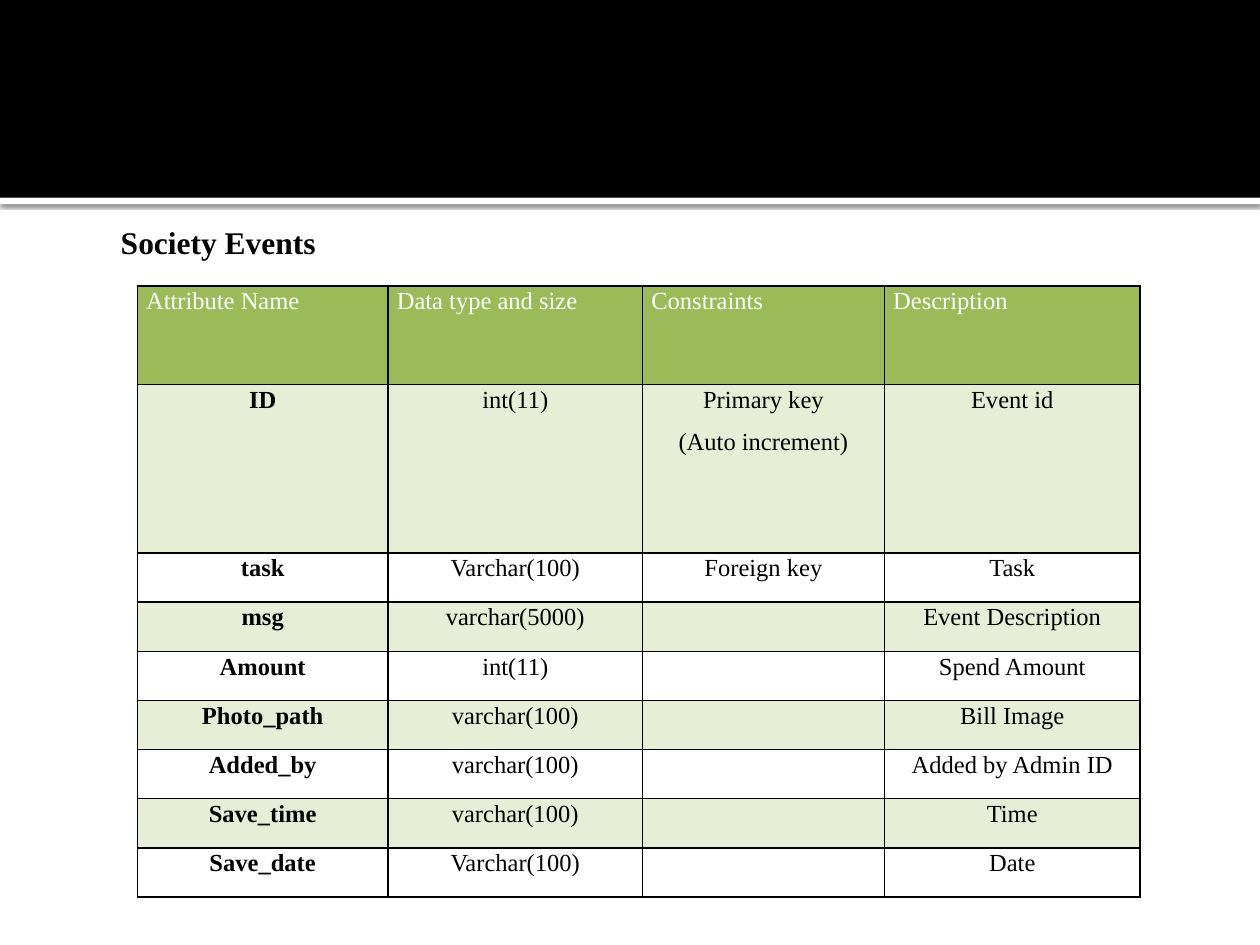
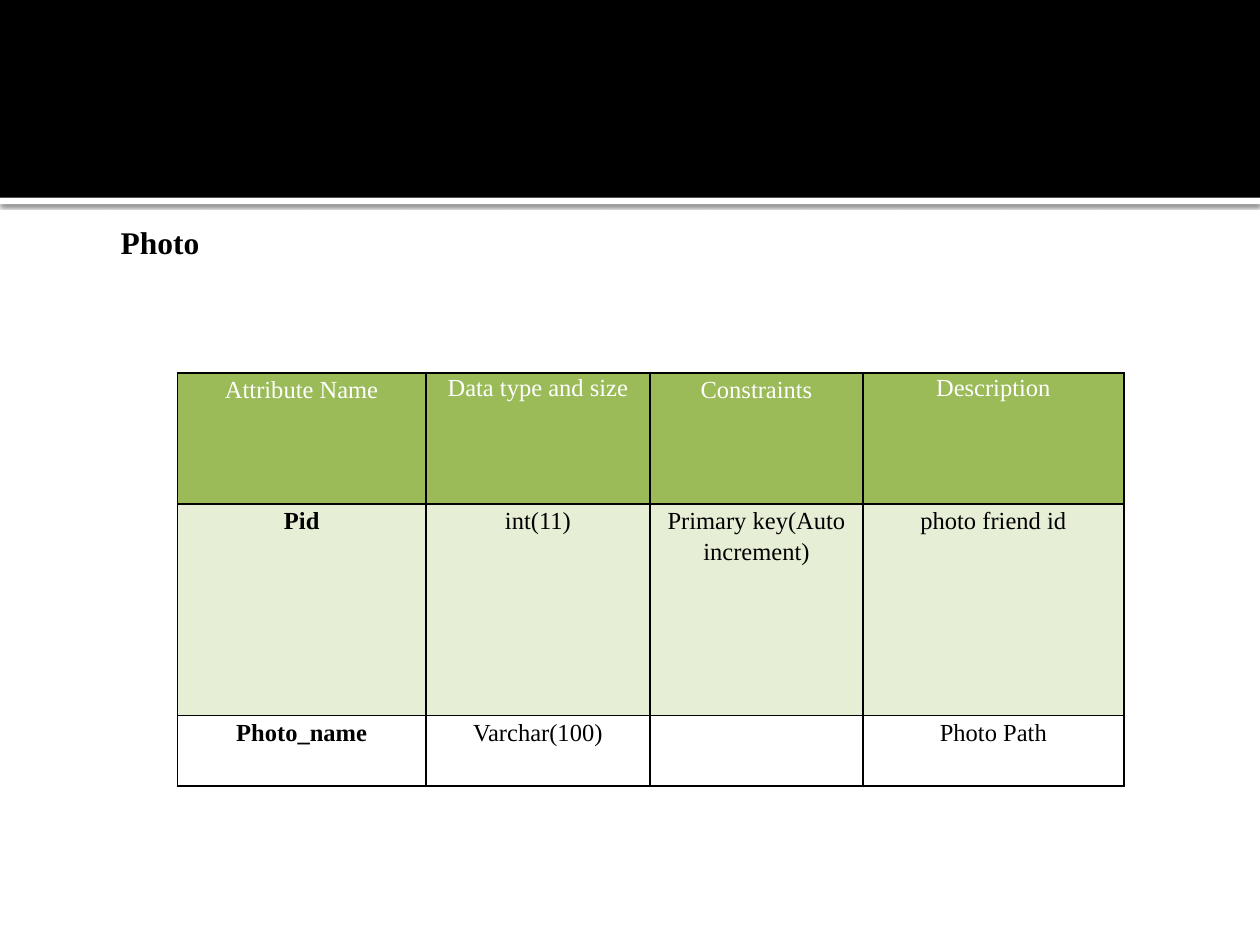
from lxml import etree
from pptx import Presentation
from pptx import util as u
from pptx.dml.color import RGBColor
from pptx.enum import shapes, text
from pptx.oxml import ns

BLACK = RGBColor(0x00, 0x00, 0x00)
WHITE = RGBColor(0xFF, 0xFF, 0xFF)
HEADER_GREEN = RGBColor(0x9B, 0xBB, 0x59)
BAND_GREEN = RGBColor(0xE6, 0xEE, 0xD5)
FONT = "Times New Roman"
LEFT, CENTER = text.PP_ALIGN.LEFT, text.PP_ALIGN.CENTER
HEADERS = ["Attribute Name", "Data type and size", "Constraints", "Description"]

# Line spacing and space after, in points
TIGHT, LOOSE = (1.07, 8), (1.15, 10)

# Top band: the white rule lies behind the black block
BANDS = [(1.57, 0.05, WHITE), (0, 1.57, BLACK)]

TABLES = [
    {
        "title": "Society Events", "title_width": 2.19, "left": 1.09, "top": 2.27,
        "columns": [1.99, 2.02, 1.92, 2.03],
        "heights": [0.78, 1.34] + [0.39] * 7,
        "header_align": LEFT, "header_spacing": [TIGHT] * 4, "spacing": TIGHT,
        "rows": [
            ["ID", "int(11)", "Primary key\n(Auto increment)", "Event id"],
            ["task", "Varchar(100)", "Foreign key", "Task"],
            ["msg", "varchar(5000)", "", "Event Description"],
            ["Amount", "int(11)", "", "Spend Amount"],
            ["Photo_path", "varchar(100)", "", "Bill Image"],
            ["Added_by", "varchar(100)", "", "Added by Admin ID"],
            ["Save_time", "varchar(100)", "", "Time"],
            ["Save_date", "Varchar(100)", "", "Date"],
        ],
    },
    {
        "title": "Photo", "title_width": 1.72, "left": 1.41, "top": 2.96,
        "columns": [1.97, 1.78, 1.69, 2.07],
        "heights": [1.04, 1.68, 0.56],
        "header_align": CENTER, "header_spacing": [LOOSE, TIGHT] * 2, "spacing": LOOSE,
        "rows": [
            ["Pid", "int(11)", "Primary key(Auto increment)", "photo friend id"],
            ["Photo_name", "Varchar(100)", "", "Photo Path"],
        ],
    },
]


def format_text(frame, size, color, bold, **paragraph_format):
    for paragraph in frame.paragraphs:
        for name, value in paragraph_format.items():
            setattr(paragraph, name, value)
        font_format = {"name": FONT, "size": u.Pt(size), "bold": bold}
        for font in [paragraph.font] + [run.font for run in paragraph.runs]:
            for name, value in font_format.items():
                setattr(font, name, value)
            font.color.rgb = color


def add_xml(parent, tag, **attributes):
    return etree.SubElement(parent, ns.qn(tag), attributes)


presentation = Presentation()
presentation.slide_width = u.Inches(10)
presentation.slide_height = u.Inches(7.5)

for content in TABLES:
    slide = presentation.slides.add_slide(presentation.slide_layouts[6])

    # Top band, with a soft shadow under the white rule
    for top, height, color in BANDS:
        band = slide.shapes.add_shape(
            shapes.MSO_SHAPE.RECTANGLE, 0, u.Inches(top), u.Inches(10), u.Inches(height))
        band.shadow.inherit = False
        band.fill.solid()
        band.fill.fore_color.rgb = color
        band.line.fill.background()
        if color == WHITE:
            effects = band._element.spPr.find(ns.qn("a:effectLst"))
            shadow = add_xml(effects, "a:outerShdw", blurRad=str(u.Pt(2.5)),
                             dist=str(u.Pt(0.8)), dir="5400000", algn="t", rotWithShape="0")
            shadow_color = add_xml(shadow, "a:srgbClr", val=str(BLACK))
            add_xml(shadow_color, "a:alpha", val="60000")

    # Table title
    title = slide.shapes.add_textbox(
        u.Inches(0.86), u.Inches(1.72), u.Inches(content["title_width"]), u.Inches(0.4))
    title.text_frame.word_wrap = True
    title.text_frame.auto_size = text.MSO_AUTO_SIZE.SHAPE_TO_FIT_TEXT
    title.text_frame.text = content["title"]
    format_text(title.text_frame, 18, BLACK, True)

    # Attribute table
    rows = [HEADERS] + content["rows"]
    table = slide.shapes.add_table(
        len(rows), len(HEADERS), u.Inches(content["left"]), u.Inches(content["top"]),
        u.Inches(sum(content["columns"])), u.Inches(sum(content["heights"]))).table
    table.first_row = table.horz_banding = False
    for column, width in zip(table.columns, content["columns"]):
        column.width = u.Inches(width)
    for row, height in zip(table.rows, content["heights"]):
        row.height = u.Inches(height)

    for row_index, row in enumerate(rows):
        is_header = row_index == 0
        for column_index, wording in enumerate(row):
            cell = table.cell(row_index, column_index)
            cell_format = {"text": wording, "margin_left": u.Inches(0.07),
                           "margin_right": u.Inches(0.07), "margin_top": 0, "margin_bottom": 0}
            for name, value in cell_format.items():
                setattr(cell, name, value)
            spacing, after = (content["header_spacing"][column_index] if is_header
                              else content["spacing"])
            format_text(cell.text_frame, 14, WHITE if is_header else BLACK,
                        not is_header and column_index == 0,
                        alignment=content["header_align"] if is_header else CENTER,
                        line_spacing=spacing, space_after=u.Pt(after))

            # Borders come before the fill in the cell properties
            properties = cell._tc.get_or_add_tcPr()
            for side in ("a:lnL", "a:lnR", "a:lnT", "a:lnB"):
                border = add_xml(properties, side, w=str(u.Pt(1)))
                add_xml(add_xml(border, "a:solidFill"), "a:srgbClr", val=str(BLACK))
            if is_header or row_index % 2:
                cell.fill.solid()
                cell.fill.fore_color.rgb = HEADER_GREEN if is_header else BAND_GREEN
            else:
                cell.fill.background()

presentation.save("out.pptx")
